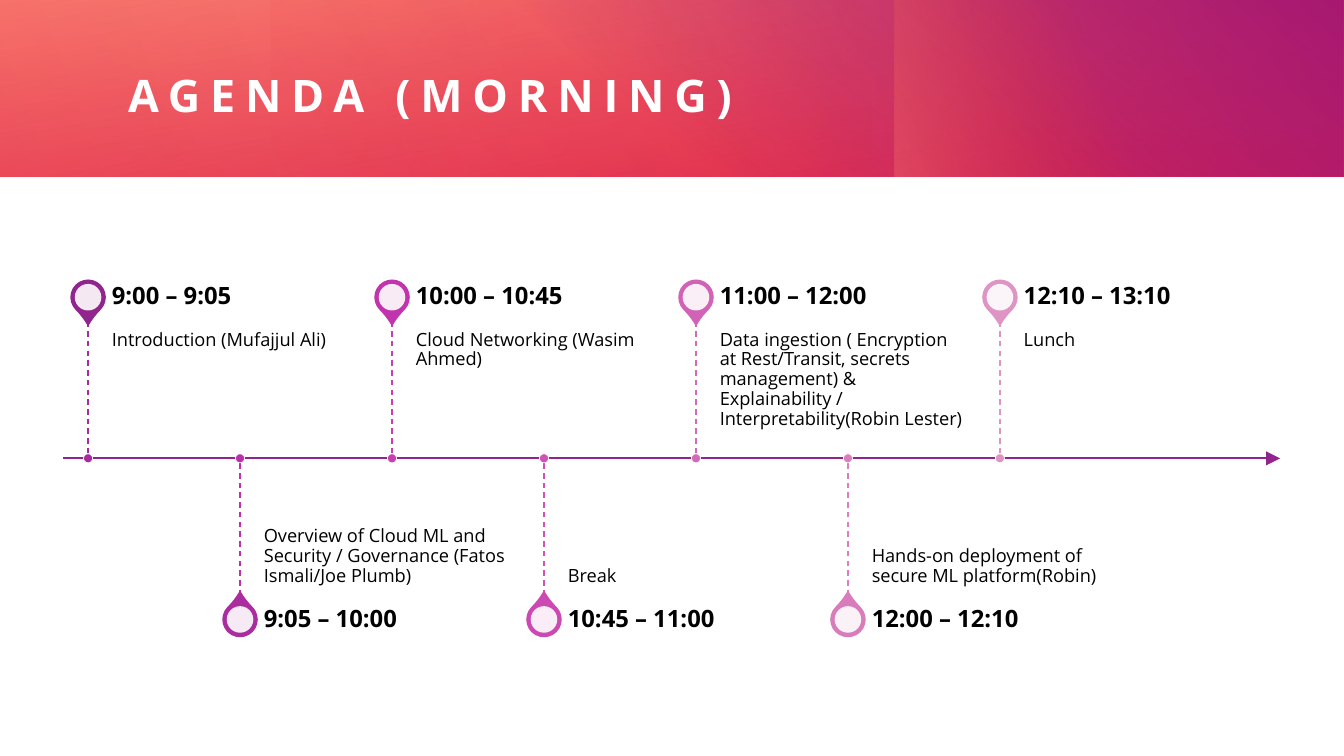
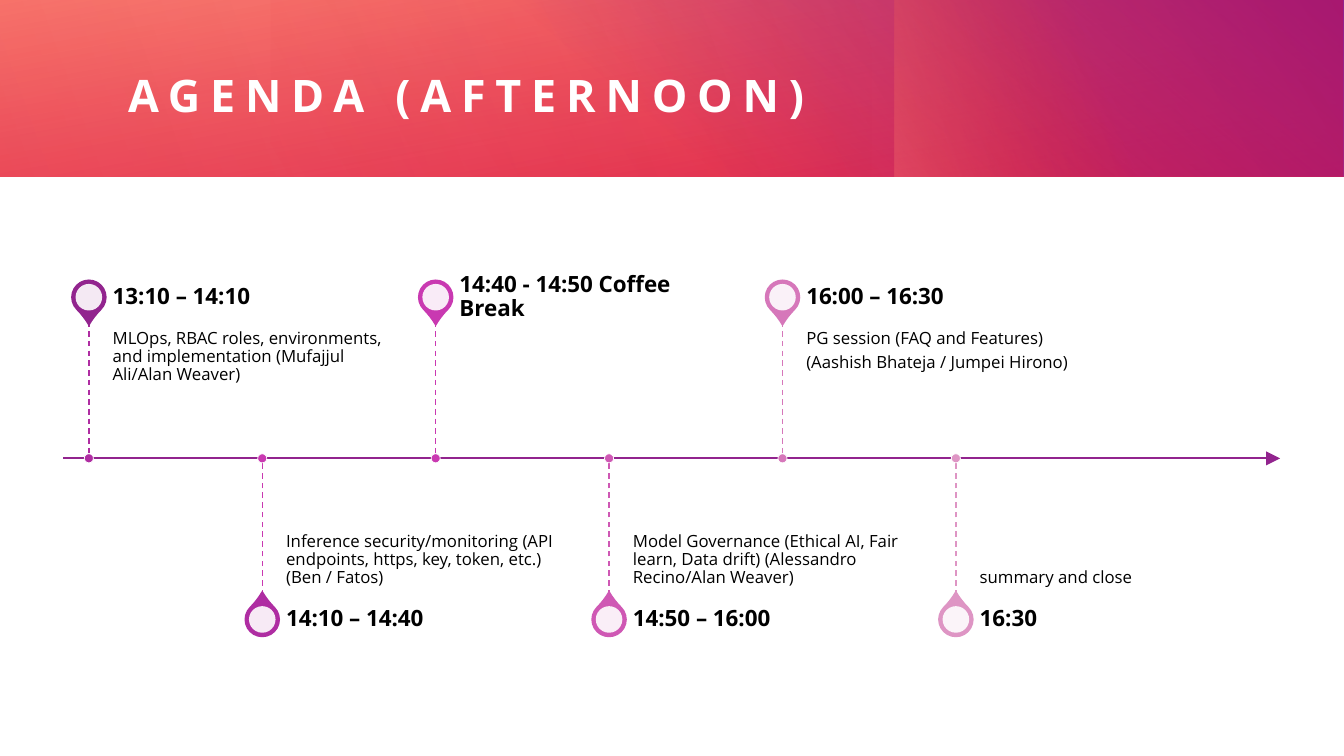
from lxml import etree
from pptx import Presentation
from pptx.dml.color import RGBColor
from pptx.enum.dml import MSO_LINE
from pptx.enum.shapes import MSO_CONNECTOR, MSO_SHAPE
from pptx.enum.text import MSO_ANCHOR
from pptx.oxml.ns import qn
from pptx.util import Cm, Pt

RECTANGLE, TEARDROP, OVAL = MSO_SHAPE.RECTANGLE, MSO_SHAPE.TEAR, MSO_SHAPE.OVAL
TOP, MIDDLE, BOTTOM = MSO_ANCHOR.TOP, MSO_ANCHOR.MIDDLE, MSO_ANCHOR.BOTTOM
STRAIGHT, DASH = MSO_CONNECTOR.STRAIGHT, MSO_LINE.DASH

FONT = "Open Sans"
COLORS = {
    "white": "FFFFFF", "black": "000000", "purple": "92248E",
    "red": "DA002F", "orange": "FE4A00", "coral": "FF907A",
}

# Header layers: box in cm, rotation, clockwise gradient angle,
# then position, colour and opacity of both stops
HEADER_LAYERS = [
    ((0, 0, 33.87, 4.45), 0, 260, (0, "red", 83), (100, "coral", 100)),
    ((12.22, 0, 21.65, 4.45), 0, 310, (22, "purple", 0), (99, "purple", 100)),
    ((25.07, -2.53, 4.45, 9.5), 270, 250, (45, "orange", 0), (99, "coral", 33)),
    ((6.81, 0, 27.03, 4.45), 180, 330, (0, "red", 30), (99, "red", 0)),
    ((0, 0, 21.97, 4.45), 0, 340, (0, "red", 21), (99, "red", 0)),
]

# Timeline measures in cm
AXIS_Y, AXIS_LEFT, AXIS_RIGHT = 11.55, 1.6, 32.26
STEM, TIME_HEIGHT = 3.45, 1.22
PIN, DISC, DOT = 0.86, 0.67, 0.23
TEXT_GAP = 0.6

# Each session: time, note paragraphs, pin colour, stem colour
AGENDAS = [
    {
        "title": "AGENDA (MORNING)", "first": 2.22, "step": 3.83, "width": 6.38,
        "time_size": 17, "note_size": 13, "inset": 0.23,
        "sessions": [
            ("9:00 – 9:05", ["Introduction (Mufajjul Ali)"], "92248E", "A62B9C"),
            ("9:05 – 10:00",
             ["Overview of Cloud ML and Security / Governance (Fatos Ismali/Joe Plumb)"],
             "AA2C9F", "BB31A9"),
            ("10:00 – 10:45", ["Cloud Networking (Wasim Ahmed)"], "C134AD", "CA3DB2"),
            ("10:45 – 11:00", ["Break"], "CC48B2", "CF53B4"),
            ("11:00 – 12:00",
             ["Data ingestion ( Encryption at Rest/Transit, secrets management) & "
              "Explainability / Interpretability(Robin Lester)"],
             "D262B6", "D36AB7"),
            ("12:00 – 12:10", ["Hands-on deployment of secure ML platform(Robin)"],
             "D87CBC", "D97FBD"),
            ("12:10 – 13:10", ["Lunch"], "DE95C4", "DE95C4"),
        ],
    },
    {
        "title": "AGENDA (AFTERNOON)", "first": 2.24, "step": 4.37, "width": 7.29,
        "time_size": 16, "note_size": 12, "inset": 0.21,
        "sessions": [
            ("13:10 – 14:10",
             ["MLOps, RBAC roles, environments, and implementation "
              "(Mufajjul Ali/Alan Weaver)"],
             "92248E", "AF2DA2"),
            ("14:10 – 14:40",
             ["Inference security/monitoring (API endpoints, https, key, token, etc.) "
              "(Ben / Fatos)"],
             "AF2DA2", "C939B1"),
            ("14:40 - 14:50 Coffee Break", [], "C939B1", "C939B1"),
            ("14:50 – 16:00",
             ["Model Governance (Ethical AI, Fair learn, Data drift) "
              "(Alessandro Recino/Alan Weaver)"],
             "CF58B4", "CF58B4"),
            ("16:00 – 16:30",
             ["PG session (FAQ and Features)", "(Aashish Bhateja / Jumpei Hirono)"],
             "D677BA", "D677BA"),
            ("16:30", ["summary and close"], "DE95C4", "DE95C4"),
        ],
    },
]


def add_text(slide, box, lines, size, anchor=MIDDLE, insets=(0, 0, 0, 0),
             color="black", bold=False, spacing=0.9, after=0.35, tracking=0):
    """Add a wrapped text box; box and insets (left, top, right, bottom) in cm."""
    frame = slide.shapes.add_textbox(*map(Cm, box)).text_frame
    frame.word_wrap = True
    frame.vertical_anchor = anchor
    (frame.margin_left, frame.margin_top,
     frame.margin_right, frame.margin_bottom) = map(Cm, insets)
    for index, line in enumerate(lines):
        paragraph = frame.add_paragraph() if index else frame.paragraphs[0]
        paragraph.line_spacing = spacing
        paragraph.space_after = Pt(size * after)
        run = paragraph.add_run()
        run.text = line
        run.font.name = FONT
        run.font.size = Pt(size)
        run.font.bold = bold
        run.font.color.rgb = RGBColor.from_string(COLORS[color])
        if tracking:
            run.font._element.set("spc", str(tracking * 100))


def add_line(slide, start, end, color, width):
    """Add a straight line without shadow between two points in cm."""
    line = slide.shapes.add_connector(STRAIGHT, *map(Cm, start + end))
    line.line.color.rgb = RGBColor.from_string(color)
    line.line.width = Pt(width)
    etree.SubElement(line._element.spPr, qn("a:effectLst"))
    return line


presentation = Presentation()
presentation.slide_width, presentation.slide_height = Cm(33.87), Cm(19.05)
blank_layout = presentation.slide_layouts[6]

for agenda in AGENDAS:
    slide = presentation.slides.add_slide(blank_layout)

    # Header band and title
    for box, rotation, angle, *stops in HEADER_LAYERS:
        layer = slide.shapes.add_shape(RECTANGLE, *map(Cm, box))
        layer.shadow.inherit = False
        layer.rotation = rotation
        layer.line.fill.background()
        layer.fill.gradient()
        layer.fill.gradient_angle = 360 - angle
        for stop, (position, color, _) in zip(layer.fill.gradient_stops, stops):
            stop.position = position / 100
            stop.color.rgb = RGBColor.from_string(COLORS[color])
        for element, (_, _, opacity) in zip(
                layer._element.spPr.findall(".//" + qn("a:srgbClr")), stops):
            etree.SubElement(element, qn("a:alpha"), val=str(opacity * 1000))
    add_text(slide, (3.23, 1.04, 28.83, 2.69), [agenda["title"]], 32,
             color="white", bold=True, spacing=1, after=0, tracking=7)

    # Time axis
    axis = add_line(slide, (AXIS_LEFT, AXIS_Y), (AXIS_RIGHT, AXIS_Y),
                    COLORS["purple"], 1.5)
    etree.SubElement(axis.line._get_or_add_ln(), qn("a:tailEnd"),
                     type="triangle", w="lg", len="lg")

    # Sessions alternate above and below the axis
    for index, (time, note, pin_color, stem_color) in enumerate(agenda["sessions"]):
        above = index % 2 == 0
        x = agenda["first"] + index * agenda["step"]
        stem_end = AXIS_Y - STEM if above else AXIS_Y + STEM
        time_top = stem_end - TIME_HEIGHT if above else stem_end
        pin_y = time_top + TIME_HEIGHT / 2
        text_left, width, inset = x + TEXT_GAP, agenda["width"], agenda["inset"]

        stem = add_line(slide, (x, stem_end), (x, AXIS_Y), stem_color, 1)
        stem.line.dash_style = DASH

        for kind, center_y, size, fill, outline, outline_width in (
            (TEARDROP, pin_y, PIN, pin_color, pin_color, 1),
            (OVAL, pin_y, DISC, COLORS["white"], None, 0),
            (OVAL, AXIS_Y, DOT, stem_color, COLORS["white"], 0.5),
        ):
            marker = slide.shapes.add_shape(
                kind, Cm(x - size / 2), Cm(center_y - size / 2), Cm(size), Cm(size))
            marker.shadow.inherit = False
            marker.fill.solid()
            marker.fill.fore_color.rgb = RGBColor.from_string(fill)
            if outline:
                marker.line.color.rgb = RGBColor.from_string(outline)
                marker.line.width = Pt(outline_width)
            else:
                marker.line.fill.background()
                white = marker._element.spPr.find(".//" + qn("a:srgbClr"))
                etree.SubElement(white, qn("a:alpha"), val="90000")
            if kind == TEARDROP:
                marker.adjustments[0] = 1.15
                marker.rotation = 135 if above else 315

        add_text(slide, (text_left, time_top, width, TIME_HEIGHT), [time],
                 agenda["time_size"], insets=(0, 0, 0.3, 0), bold=True)
        if note:
            add_text(slide, (text_left, min(stem_end, AXIS_Y), width, STEM), note,
                     agenda["note_size"], anchor=TOP if above else BOTTOM,
                     insets=(0, inset, inset if above else 0, inset))

presentation.save("out.pptx")
